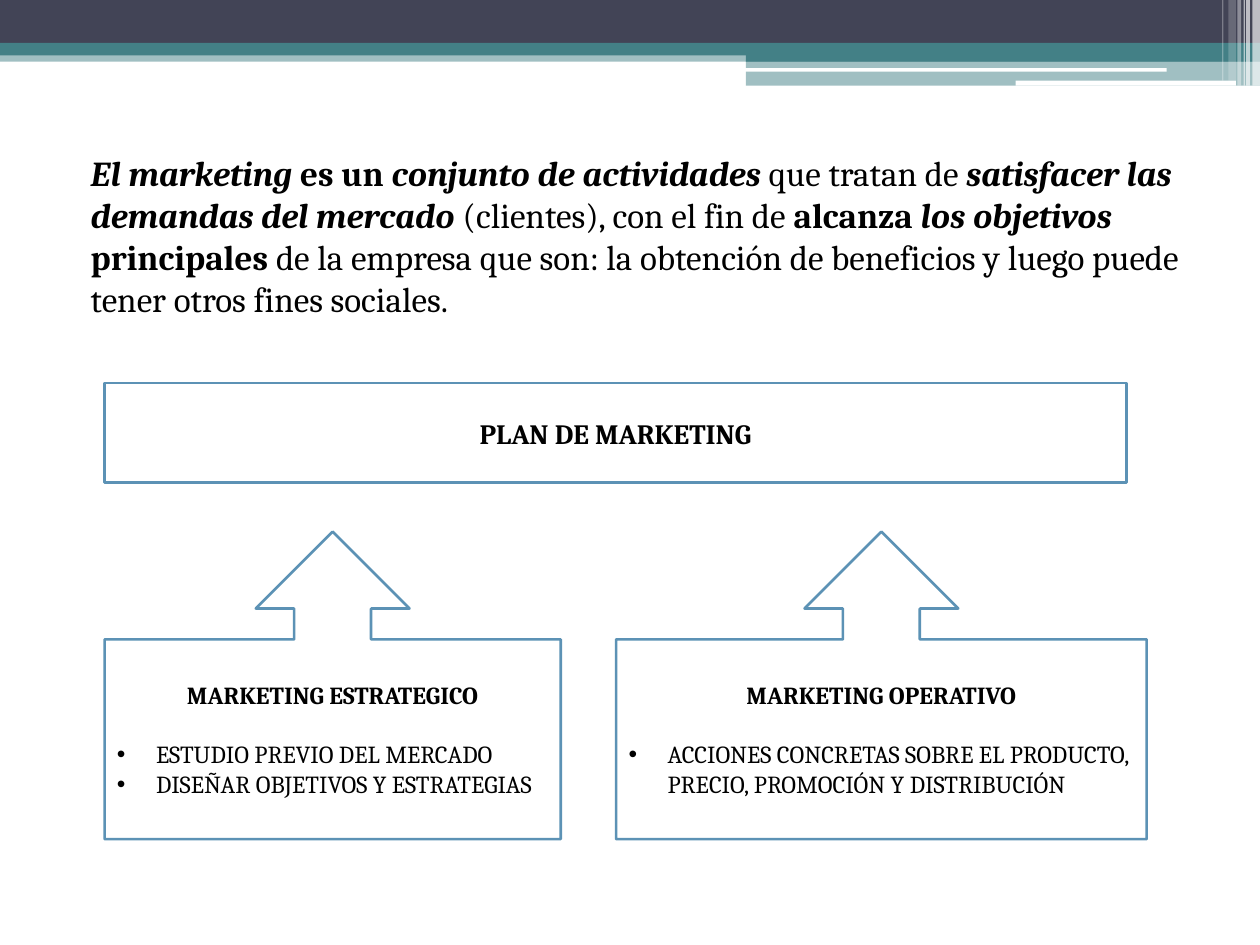
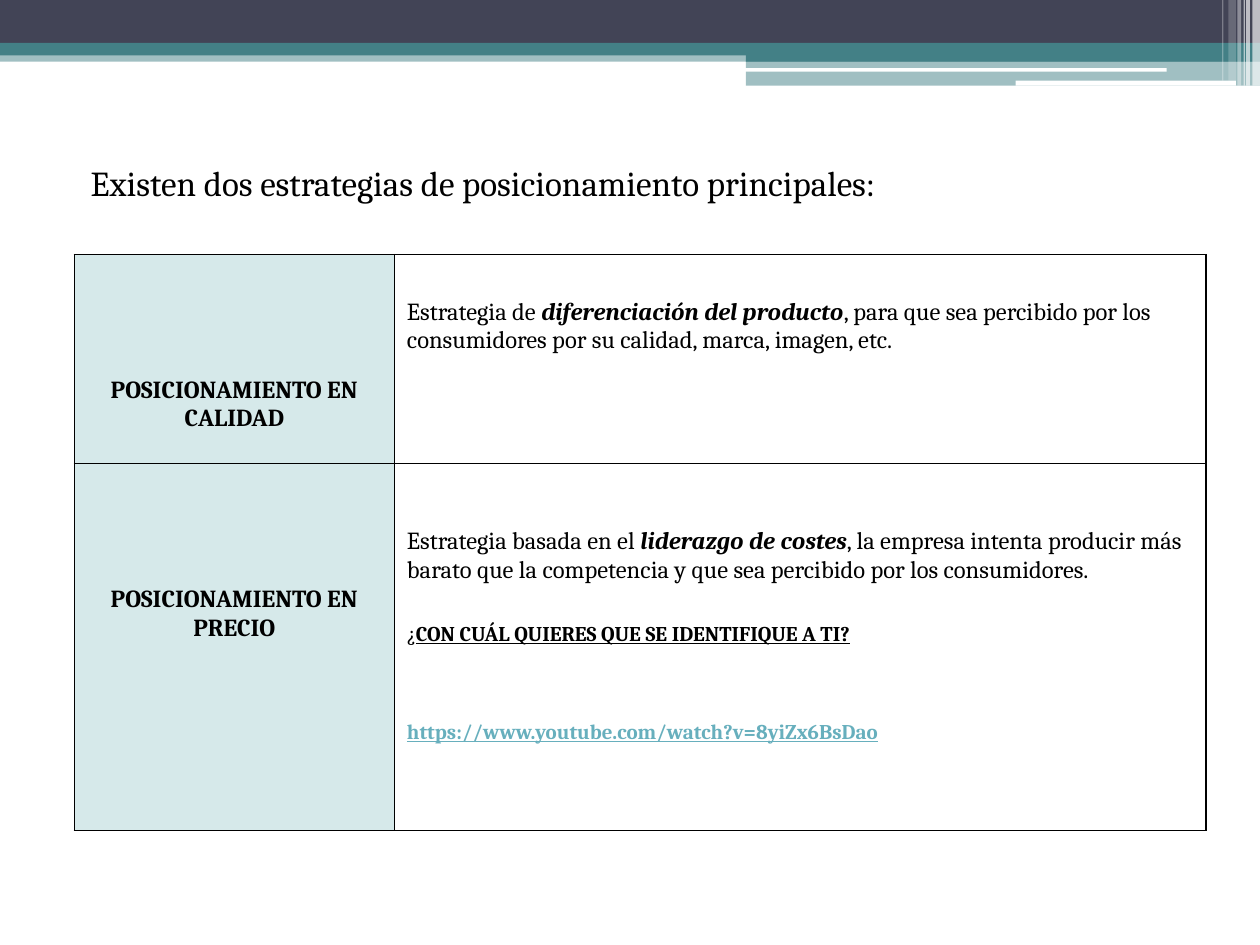
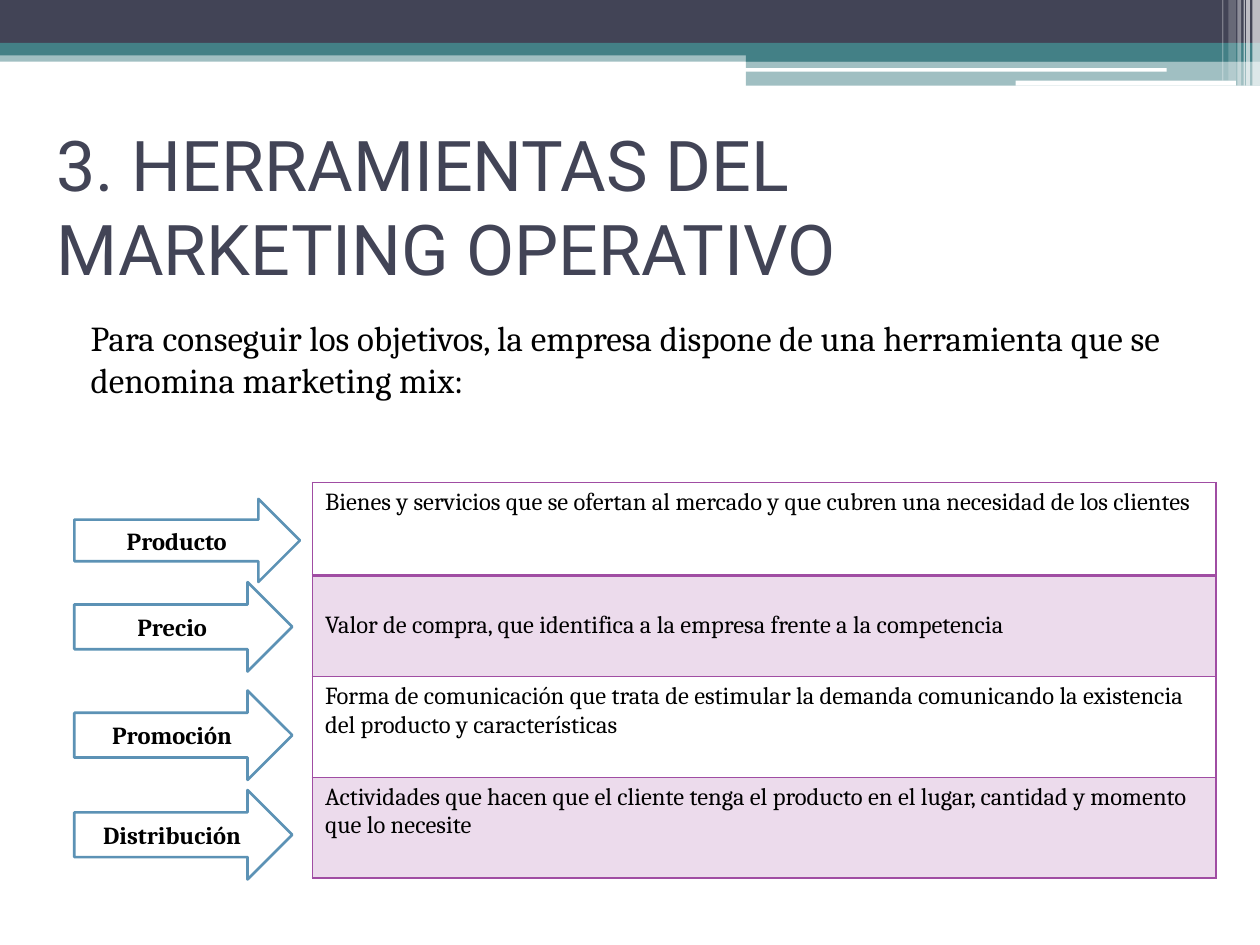
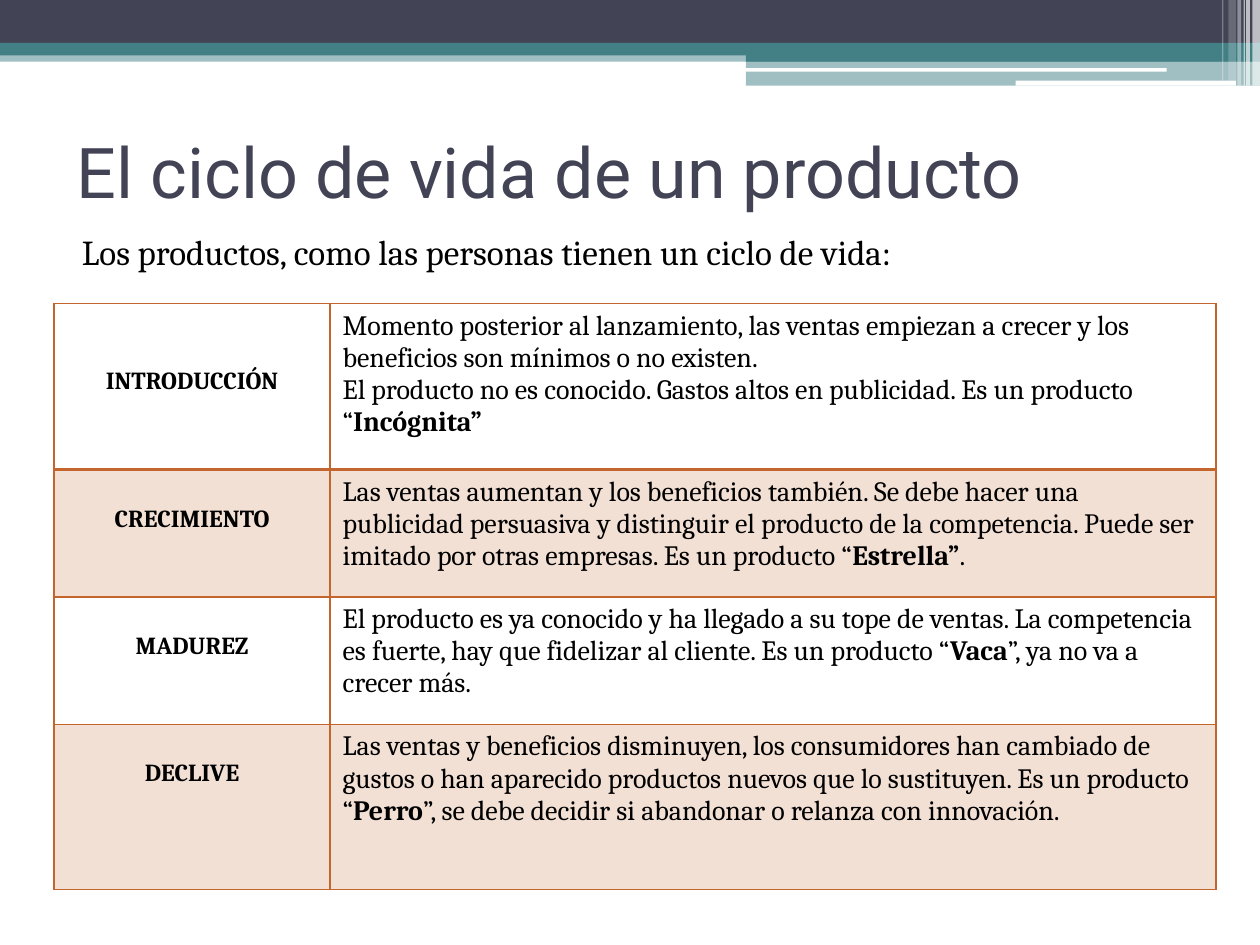
from dataclasses import dataclass
from typing import Optional

from lxml.etree import SubElement
from pptx import Presentation
from pptx.dml.color import RGBColor
from pptx.enum.shapes import MSO_SHAPE as SHAPE
from pptx.enum.text import MSO_ANCHOR as ANCHOR, PP_ALIGN as ALIGN
from pptx.oxml import parse_xml
from pptx.oxml.ns import nsdecls, qn
from pptx.util import Inches, Pt


@dataclass(frozen=True)
class Theme:
    navy: str = "424456"
    teal: str = "438086"
    pale_teal: str = "D6E9EA"
    blue: str = "5C92B5"
    purple: str = "A04DA3"
    orange: str = "C4652D"
    link: str = "67AFBD"
    black: str = "000000"
    white: str = "FFFFFF"
    title_font: str = "Roboto"
    text_font: str = "Cambria"
    title: int = 40
    body: int = 20
    large: int = 16
    normal: int = 14
    small: int = 12
    outline: float = 1.5
    tint: int = 20


T = Theme()
LINE = 0.23     # height of one line of normal text, inches
INSET = 0.05    # default top margin of a cell, inches


@dataclass
class Para:
    """Runs are (text, style) pairs; style letters: b, i, u and l for link colour."""
    runs: list
    size: int = T.normal
    align: ALIGN = ALIGN.LEFT
    before: int = 0
    bullet: bool = False


@dataclass
class Cell:
    paras: list
    lines_above: float = 0
    fill: Optional[str] = None
    alpha: int = 100


def label(text, size=T.normal):
    return Para([(text, "b")], size, ALIGN.CENTER)


def plain(text, size=T.normal):
    return Para([(text, "")], size)


# ---------------------------------------------------------------- content

BANDS = [  # left, top, width, height, colour, opacity
    (0, 0.4, 10, 0.09, T.teal, 50),
    (0, 0, 10, 0.34, T.navy, 100),
    (0, 0.34, 10, 0.1, T.teal, 100),
    (5.92, 0.39, 4.08, 0.1, T.teal, 100),
    (5.92, 0.48, 4.08, 0.2, T.teal, 50),
    (5.91, 0.54, 3.35, 0.03, T.white, 100),
    (8.06, 0.64, 1.75, 0.04, T.white, 100),
]
STRIPES = [  # left, width, height, opacity
    (9.94, 0.06, 0.68, 65), (9.89, 0.03, 0.68, 65), (9.87, 0.01, 0.68, 60),
    (9.82, 0.03, 0.68, 40), (9.75, 0.06, 0.64, 20), (9.7, 0.01, 0.64, 30),
]
BANDS += [(x, 0, w, h, T.white, a) for x, w, h, a in STRIPES]

DEFINITION = [
    ("El marketing ", "bi"), ("es un ", "b"), ("conjunto de actividades ", "bi"),
    ("que tratan de ", ""), ("satisfacer las demandas del mercado ", "bi"),
    ("(clientes), con el fin de ", ""), ("alcanza ", "b"), ("los objetivos ", "bi"),
    ("principales ", "b"),
    ("de la empresa que son: la obtención de beneficios y luego puede tener otros "
     "fines sociales.", ""),
]
PLAN_PARTS = [  # left, width, heading, points
    (0.83, 3.62, "MARKETING ESTRATEGICO",
     ["ESTUDIO PREVIO DEL MERCADO", "DISEÑAR OBJETIVOS Y ESTRATEGIAS"]),
    (4.89, 4.21, "MARKETING OPERATIVO",
     ["ACCIONES CONCRETAS SOBRE EL PRODUCTO, PRECIO, PROMOCIÓN Y DISTRIBUCIÓN"]),
]

QUALITY = Para([
    ("Estrategia de ", ""), ("diferenciación del producto", "bi"),
    (", para que sea percibido por los consumidores por su calidad, marca, imagen, etc.", ""),
])
PRICE = [
    Para([("Estrategia basada en el ", ""), ("liderazgo de costes", "bi"),
          (", la empresa intenta producir más barato que la competencia y que sea "
           "percibido por los consumidores.", "")]),
    Para([("¿", ""), ("CON CUÁL QUIERES QUE SE IDENTIFIQUE A TI?", "bu")], T.small, before=22),
    Para([("https://www.youtube.com/watch?v=8yiZx6BsDao", "bul")], T.small, before=42),
]
POSITIONING = [
    [Cell([label("POSICIONAMIENTO EN CALIDAD")], 4, T.pale_teal), Cell([QUALITY], 1.3)],
    [Cell([label("POSICIONAMIENTO EN PRECIO")], 4, T.pale_teal), Cell(PRICE, 2)],
]

MIX_ARROWS = [  # top, width, height, text
    (3.96, 1.79, 0.66, "Producto"), (4.62, 1.73, 0.71, "Precio"),
    (5.48, 1.73, 0.71, "Promoción"), (6.27, 1.73, 0.71, "Distribución"),
]
MIX = [  # lines above, text
    (0, "Bienes y servicios que se ofertan al mercado y que cubren una necesidad de los clientes"),
    (1, "Valor de compra, que identifica a la empresa frente a la competencia"),
    (0, "Forma de comunicación que trata de estimular la demanda comunicando la existencia "
        "del producto y características"),
    (0, "Actividades que hacen que el cliente tenga el producto en el lugar, cantidad y "
        "momento que lo necesite"),
]

STAGES = [  # name, lines above it, paragraphs of runs
    ("INTRODUCCIÓN", 2, [
        [("Momento posterior al lanzamiento, las ventas empiezan a crecer y los beneficios "
          "son mínimos o no existen.", "")],
        [("El producto no es conocido. Gastos altos en publicidad. Es un producto “", ""),
         ("Incógnita”", "b")]]),
    ("CRECIMIENTO", 1, [
        [("Las ventas aumentan y los beneficios también. Se debe hacer una publicidad "
          "persuasiva y distinguir el producto de la competencia. Puede ser imitado por "
          "otras empresas. Es un producto “", ""), ("Estrella”", "b"), (".", "")]]),
    ("MADUREZ", 1, [
        [("El producto es ya conocido y ha llegado a su tope de ventas. La competencia es "
          "fuerte, hay que fidelizar al cliente. Es un producto “", ""), ("Vaca", "b"),
         ("”, ya no va a crecer más.", "")]]),
    ("DECLIVE", 1, [
        [("Las ventas y beneficios disminuyen, los consumidores han cambiado de gustos o han "
          "aparecido productos nuevos que lo sustituyen. Es un producto “", ""), ("Perro", "b"),
         ("”, se debe decidir si abandonar o relanza con innovación.", "")]]),
]


# ---------------------------------------------------------------- helpers

def rgb(colour):
    return RGBColor.from_string(colour)


def paint(fill, colour, alpha=100):
    """Solid fill with an opacity in percent."""
    fill.solid()
    fill.fore_color.rgb = rgb(colour)
    if alpha < 100:
        clr = fill._xPr.find(qn("a:solidFill"))[0]
        SubElement(clr, qn("a:alpha")).set("val", str(alpha * 1000))


def set_indent(p, left, hanging=0, bullet=None):
    pPr = p._p.get_or_add_pPr()
    pPr.set("marL", str(Inches(left)))
    pPr.set("indent", str(-Inches(hanging)))
    if bullet:
        SubElement(pPr, qn("a:buFont")).set("typeface", "Arial")
        SubElement(pPr, qn("a:buChar")).set("char", bullet)
    else:
        SubElement(pPr, qn("a:buNone"))


def add_run(p, text, size, style="", colour=T.black, font=T.text_font):
    r = p.add_run()
    r.text = text
    f = r.font
    f.name, f.size = font, Pt(size)
    f.bold, f.italic, f.underline = "b" in style, "i" in style, "u" in style
    f.color.rgb = rgb(T.link if "l" in style else colour)


def write(tf, paras):
    tf.word_wrap = True
    for i, para in enumerate(paras):
        p = tf.add_paragraph() if i else tf.paragraphs[0]
        if para.bullet:
            set_indent(p, 0.31, 0.31, "•")
        p.alignment = para.align
        p.space_before = Pt(para.before)
        for text, style in para.runs:
            add_run(p, text, para.size, style)


def place(sp, left, top, width, height):
    sp.left, sp.top, sp.width, sp.height = map(Inches, (left, top, width, height))


def add_box(s, kind, at, paras):
    sp = s.shapes.add_shape(kind, *map(Inches, at))
    sp.shadow.inherit = False
    paint(sp.fill, T.white)
    sp.line.color.rgb = rgb(T.blue)
    sp.line.width = Pt(T.outline)
    sp.text_frame.vertical_anchor = ANCHOR.MIDDLE
    write(sp.text_frame, paras)


def add_slide(prs, body_at, body_runs, title=None, title_at=None):
    s = prs.slides.add_slide(prs.slide_layouts[1])
    heading, body = s.shapes.title, s.placeholders[1]
    if title:
        place(heading, *title_at)
        heading.text_frame.vertical_anchor = ANCHOR.MIDDLE
        p = heading.text_frame.paragraphs[0]
        p.alignment = ALIGN.LEFT
        add_run(p, title, T.title, colour=T.navy, font=T.title_font)
    else:
        heading.element.getparent().remove(heading.element)
    place(body, *body_at)
    set_indent(body.text_frame.paragraphs[0], 0.12)
    write(body.text_frame, [Para(body_runs, T.body)])
    return s


def set_borders(cell, colour, widths):
    """Widths in points for left, right, top and bottom."""
    tcPr = cell._tc.get_or_add_tcPr()
    for i, (side, width) in enumerate(zip("LRTB", widths)):
        tcPr.insert(i, parse_xml(
            f'<a:ln{side} {nsdecls("a")} w="{Pt(width)}"><a:solidFill>'
            f'<a:srgbClr val="{colour}"/></a:solidFill></a:ln{side}>'))


def add_table(s, left, top, cols, heights, rows, colour, first_rule=1):
    """first_rule is the width of the line under the first row."""
    frame = s.shapes.add_table(len(rows), len(cols), Inches(left), Inches(top),
                               Inches(sum(cols)), Inches(sum(heights)))
    table = frame.table
    table.first_row = table.horz_banding = False
    for column, width in zip(table.columns, cols):
        column.width = Inches(width)
    for i, (row, height) in enumerate(zip(rows, heights)):
        table.rows[i].height = Inches(height)
        widths = (1, 1, first_rule if i == 1 else 1, first_rule if i == 0 else 1)
        for j, content in enumerate(row):
            cell = table.cell(i, j)
            if content.fill:
                paint(cell.fill, content.fill, content.alpha)
            else:
                cell.fill.background()
            set_borders(cell, colour, widths)
            cell.margin_top = Inches(INSET + LINE * content.lines_above)
            write(cell.text_frame, content.paras)


def banded(rows, colour):
    """Tint every second row."""
    for row in rows[1::2]:
        for cell in row:
            cell.fill, cell.alpha = colour, T.tint
    return rows


def add_master_bands(prs, s):
    """Draw the bands on a slide, then move them behind everything on the master."""
    tree = prs.slide_master.element.cSld.spTree
    for i, (left, top, width, height, colour, alpha) in enumerate(BANDS):
        sp = s.shapes.add_shape(SHAPE.RECTANGLE, *map(Inches, (left, top, width, height)))
        sp.shadow.inherit = False
        paint(sp.fill, colour, alpha)
        sp.line.fill.background()
        tree.insert(2 + i, sp.element)


# ---------------------------------------------------------------- slides

def plan_slide(prs):
    s = add_slide(prs, (0.5, 1.15, 9, 6.04), DEFINITION)
    add_box(s, SHAPE.RECTANGLE, (0.83, 3.04, 8.11, 0.79), [label("PLAN DE MARKETING", T.large)])
    for left, width, heading, points in PLAN_PARTS:
        bullets = [Para([(text, "")], before=0 if i else 17, bullet=True)
                   for i, text in enumerate(points)]
        add_box(s, SHAPE.UP_ARROW_CALLOUT, (left, 4.22, width, 2.44), [label(heading), *bullets])
    return s


def positioning_slide(prs):
    s = add_slide(prs, (0.5, 1.23, 9, 5.96),
                  [("Existen dos estrategias de posicionamiento principales:", "")])
    add_table(s, 0.59, 2.02, [2.54, 6.44], [1.66, 2.91], POSITIONING, T.black)


def mix_slide(prs):
    s = add_slide(prs, (0.5, 2.46, 9, 4.73),
                  [("Para conseguir los objetivos, la empresa dispone de una herramienta "
                    "que se denomina marketing mix:", "")],
                  "3. HERRAMIENTAS DEL MARKETING OPERATIVO", (0.35, 0.84, 9.15, 1.58))
    for top, width, height, text in MIX_ARROWS:
        add_box(s, SHAPE.RIGHT_ARROW, (0.59, top, width, height), [label(text)])
    rows = [[Cell([plain(text)], above)] for above, text in MIX]
    add_table(s, 2.48, 3.83, [7.17], [0.74] + [0.8] * 3, banded(rows, T.purple), T.purple, 2)


def life_cycle_slide(prs):
    s = add_slide(prs, (0.43, 1.78, 9.07, 5.41),
                  [("Los productos, como las personas tienen un ciclo de vida:", "")],
                  "El ciclo de vida de un producto", (0.51, 0.92, 8.9, 0.87))
    rows = [[Cell([label(name)], above), Cell([Para(runs, T.large) for runs in paras])]
            for name, above, paras in STAGES]
    add_table(s, 0.43, 2.41, [2.19, 7.03], [1.32, 1.01, 1.01, 1.31],
              banded(rows, T.orange), T.orange, 2)


def main():
    prs = Presentation()
    prs.slide_width, prs.slide_height = Inches(10), Inches(7.5)
    add_master_bands(prs, plan_slide(prs))
    positioning_slide(prs)
    mix_slide(prs)
    life_cycle_slide(prs)
    prs.save("out.pptx")


if __name__ == "__main__":
    main()
